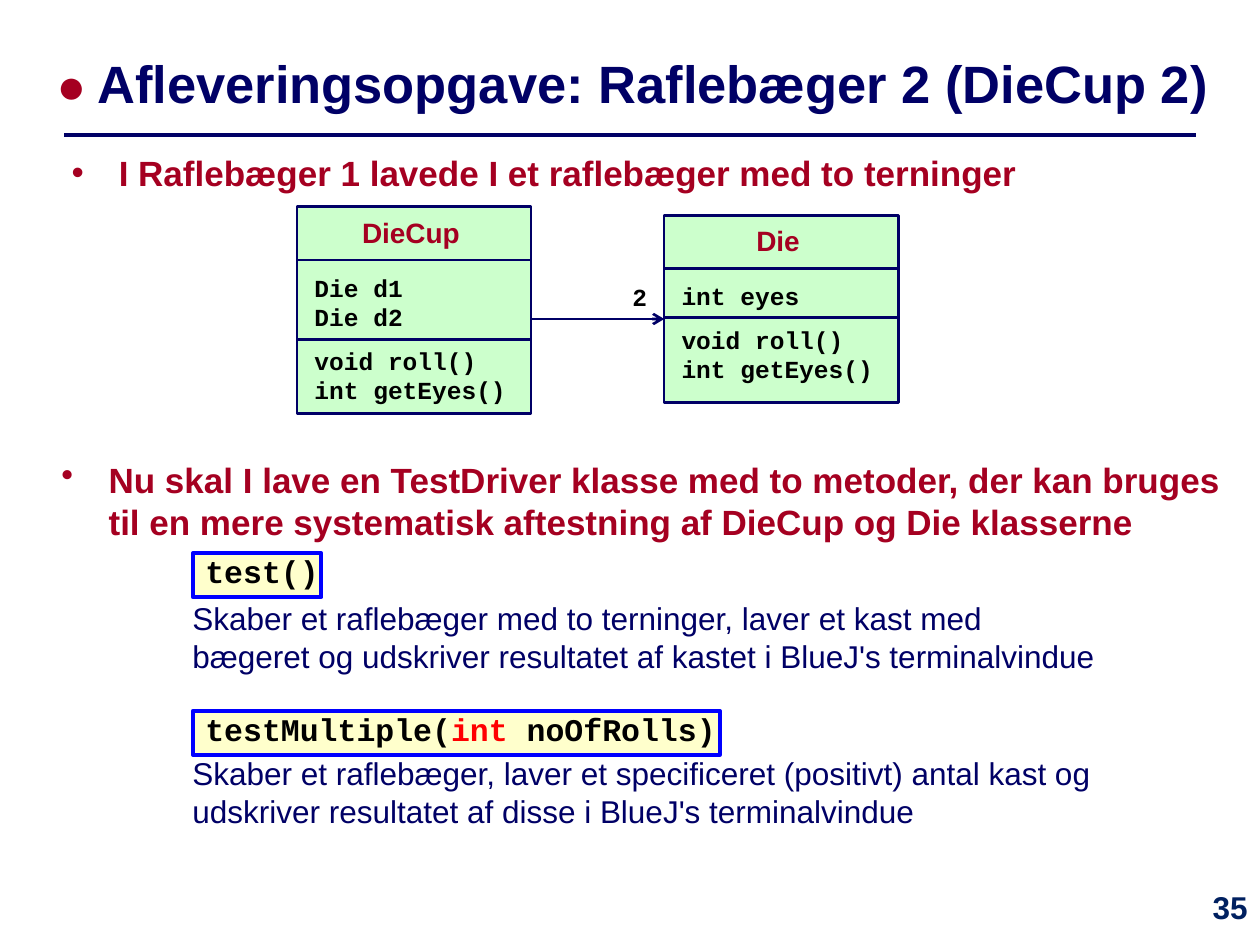
import pptx
import pptx.dml.color
import pptx.enum.shapes
import pptx.enum.text
import pptx.oxml.xmlchemy
import pptx.util

Cm = pptx.util.Cm
ALIGN = pptx.enum.text.PP_ALIGN
ANCHOR = pptx.enum.text.MSO_ANCHOR
RECTANGLE = pptx.enum.shapes.MSO_SHAPE.RECTANGLE
STRAIGHT = pptx.enum.shapes.MSO_CONNECTOR.STRAIGHT
new_element = pptx.oxml.xmlchemy.OxmlElement

THEME = {
    "navy": "000066", "red": "A50021", "green": "CCFFCC", "cream": "FFFFCC",
    "frame": "0000FF", "number": "002060", "code": "000000", "keyword": "FF0000",
    "sans": "Arial", "mono": "Courier New",
    "title": 30, "dot": 28, "bullet": 20, "body": 18, "class": 16, "member": 14,
}

# Style: size, colour, font, bold
STYLES = {
    "title": ("title", "navy", "sans", True),
    "dot": ("dot", "red", "sans", True),
    "bullet": ("bullet", "red", "sans", True),
    "number": ("body", "number", "sans", True),
    "code": ("body", "code", "mono", True),
    "keyword": ("body", "keyword", "mono", True),
    "description": ("body", "navy", "sans", False),
    "class": ("class", "red", "sans", True),
    "member": ("member", "code", "mono", True),
}


def colour(name):
    return pptx.dml.color.RGBColor.from_string(THEME[name])


def write(box, paragraphs, bulleted=False, wrap=True, **para_format):
    """Fill box with paragraphs, each a list of (text, style) spans."""
    frame = box.text_frame
    frame.word_wrap = wrap
    frame.auto_size = pptx.enum.text.MSO_AUTO_SIZE.NONE
    for index, spans in enumerate(paragraphs):
        para = frame.paragraphs[0] if index == 0 else frame.add_paragraph()
        if bulleted:
            properties = para._p.get_or_add_pPr()
            properties.set("marL", str(Cm(0.95)))
            properties.set("indent", str(Cm(-0.95)))
            bullet = new_element("a:buChar")
            bullet.set("char", "•")
            properties.append(bullet)
        settings = {"alignment": ALIGN.LEFT, "space_before": pptx.util.Pt(0)}
        for name, value in (settings | para_format).items():
            setattr(para, name, value)
        for text, style in spans:
            size, ink, font, bold = STYLES[style]
            span = para.add_run()
            span.text = text
            span.font.color.rgb = colour(ink)
            span_format = {"size": pptx.util.Pt(THEME[size]), "name": THEME[font], "bold": bold}
            for name, value in span_format.items():
                setattr(span.font, name, value)
    return frame


deck = pptx.Presentation()
deck.slide_width, deck.slide_height = Cm(25.4), Cm(19.05)
page = deck.slides.add_slide(deck.slide_layouts[1])
shapes = page.shapes

# Title and first bullet
title, body = page.placeholders
for box, place in ((title, (0.89, 0.71, 24.51, 1.9)), (body, (1.19, 2.92, 21.08, 2.41))):
    box.left, box.top, box.width, box.height = map(Cm, place)
frame = write(title, [[("● ", "dot"), ("Afleveringsopgave: Raflebæger 2 (DieCup 2)", "title")]])
frame.vertical_anchor = ANCHOR.MIDDLE
frame.paragraphs[0].runs[0].font._element.set("spc", "-150")
write(body, [[("I Raflebæger 1 lavede I et raflebæger med to terninger", "bullet")]], bulleted=True)

# Page number and second bullet
number = shapes.add_textbox(Cm(23.7), Cm(17.78), Cm(1.7), Cm(1.27))
write(number, [[("35", "number")]], alignment=ALIGN.RIGHT)
task = shapes.add_textbox(Cm(0.99), Cm(9.12), Cm(24.31), Cm(2))
write(task, [[("Nu skal I lave en TestDriver klasse med to metoder, der kan bruges til en mere "
               "systematisk aftestning af DieCup og Die klasserne", "bullet")]], bulleted=True)

# Method signatures
signatures = [
    (11.15, 2.59, [("test()", "code")]),
    (14.33, 10.62, [("testMultiple(", "code"), ("int ", "keyword"), ("noOfRolls)", "code")]),
]
for top, width, spans in signatures:
    box = shapes.add_shape(RECTANGLE, Cm(3.89), Cm(top), Cm(width), Cm(0.89))
    box.shadow.inherit = False
    box.fill.solid()
    box.fill.fore_color.rgb = colour("cream")
    box.line.color.rgb = colour("frame")
    box.line.width = pptx.util.Pt(2.25)
    frame = write(box, [spans], wrap=False, line_spacing=0.8)
    frame.vertical_anchor = ANCHOR.TOP
    frame.margin_left, frame.margin_right = Cm(0.25), Cm(0.05)

# Method descriptions
descriptions = shapes.add_textbox(Cm(3.63), Cm(11.96), Cm(18.87), Cm(5))
frame = write(descriptions, [
    [("Skaber et raflebæger med to terninger, laver et kast med bægeret og udskriver "
      "resultatet af kastet i BlueJ's terminalvindue", "description")],
    [("Skaber et raflebæger, laver et specificeret (positivt) antal kast og udskriver "
      "resultatet af disse i BlueJ's terminalvindue", "description")],
])
frame.paragraphs[1].space_before = pptx.util.Pt(45)

# Class diagram: name, left, top, height, second divider, fields
class_width = 4.72
methods = ["void roll()", "int getEyes()"]
classes = [
    ("DieCup", 5.99, 4.17, 4.17, 2.67, ["Die d1", "Die d2"]),
    ("Die", 13.39, 4.34, 3.78, 2.06, ["int eyes"]),
]
lines = [(1.3, 24.1, 2.72, 2), (classes[0][1] + class_width, classes[1][1], 6.43, 1.5)]
for name, left, top, height, divider, fields in classes:
    box = shapes.add_shape(RECTANGLE, Cm(left), Cm(top), Cm(class_width), Cm(height))
    box.shadow.inherit = False
    box.fill.solid()
    box.fill.fore_color.rgb = colour("green")
    box.line.color.rgb = colour("navy")
    box.line.width = pptx.util.Pt(1.5)
    heading = shapes.add_textbox(Cm(left + 0.1), Cm(top + 0.05), Cm(4.39), Cm(0.94))
    write(heading, [[(name, "class")]], alignment=ALIGN.CENTER)
    members = shapes.add_textbox(Cm(left + 0.1), Cm(top + 1.2), Cm(4.5), Cm(height - 1.3))
    frame = write(members, [[(text, "member")] for text in fields + methods], wrap=False)
    frame.paragraphs[len(fields)].line_spacing = 1.5
    lines += [(left, left + class_width, top + offset, 1.5) for offset in (1.07, divider)]

multiplicity = shapes.add_textbox(Cm(12.5), Cm(5.56), Cm(0.86), Cm(0.86))
write(multiplicity, [[("2", "member")]], wrap=False)

# Title rule, association and class dividers
connectors = []
for start, end, height, weight in lines:
    line = shapes.add_connector(STRAIGHT, Cm(start), Cm(height), Cm(end), Cm(height))
    line.line.color.rgb = colour("navy")
    line.line.width = pptx.util.Pt(weight)
    line._element.spPr.append(new_element("a:effectLst"))
    connectors.append(line)
arrowhead = new_element("a:tailEnd")
for name, value in {"type": "arrow", "w": "med", "len": "med"}.items():
    arrowhead.set(name, value)
connectors[1].line._get_or_add_ln().append(arrowhead)

deck.save("out.pptx")
